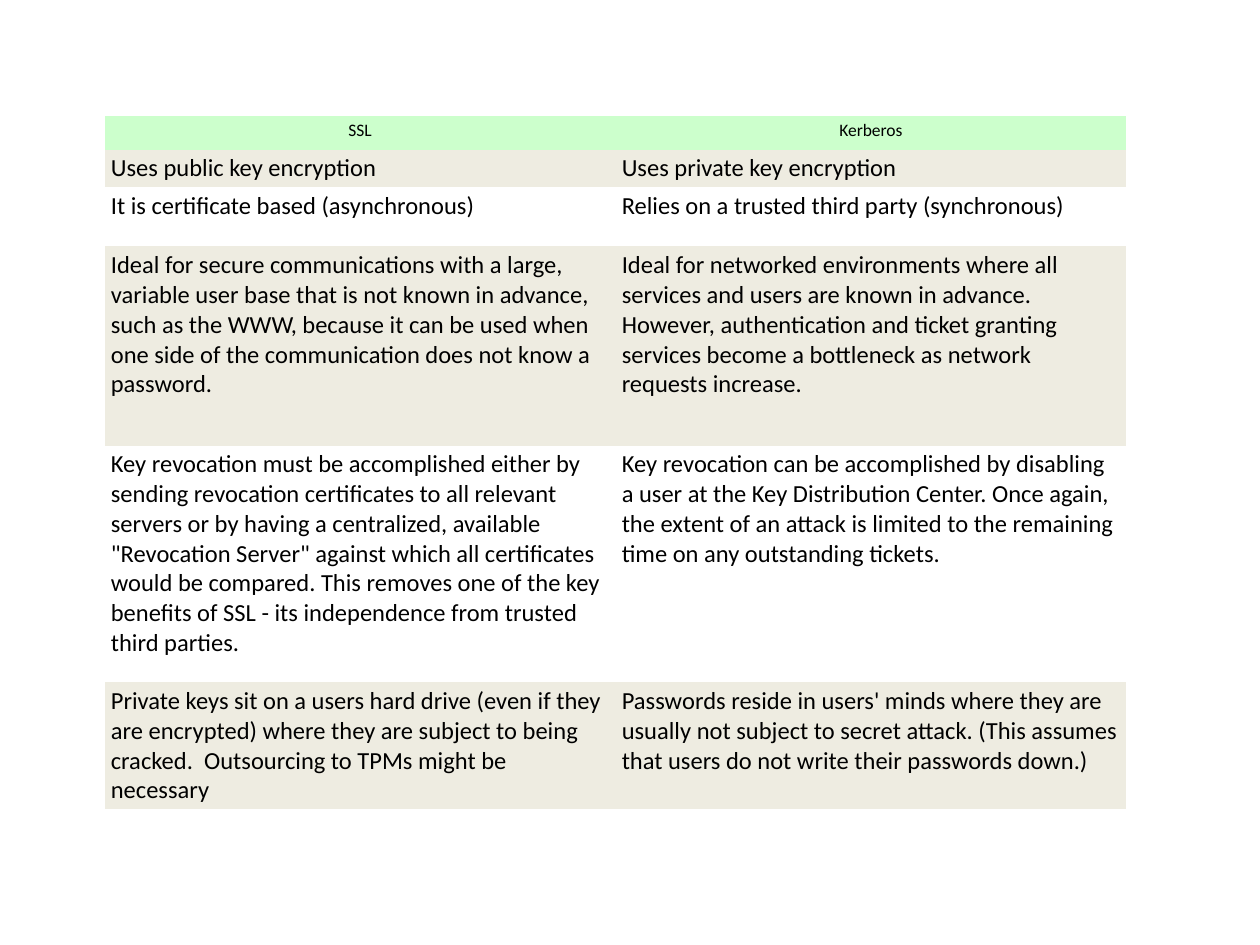
from pptx import Presentation
from pptx.dml.color import RGBColor
from pptx.enum.text import PP_ALIGN
from pptx.util import Inches, Pt

CENTER = PP_ALIGN.CENTER
LEFT = PP_ALIGN.LEFT
BLACK = RGBColor(0x00, 0x00, 0x00)
GREEN = RGBColor(0xCC, 0xFF, 0xCC)
BEIGE = RGBColor(0xEE, 0xEC, 0xE1)
PLAIN = "{2D5ABB26-0587-4C30-8999-92F81FD0307C}"

ROWS = [
    (0.27, "SSL", "Kerberos"),
    (0.27, "Uses public key encryption", "Uses private key encryption"),
    (0.47, "It is certificate based (asynchronous)",
     "Relies on a trusted third party (synchronous)"),
    (1.58, "Ideal for secure communications with a large, variable user base "
     "that is not known in advance, such as the WWW, because it can be used "
     "when one side of the communication does not know a password.",
     "Ideal for networked environments where all services and users are known "
     "in advance. However, authentication and ticket granting services become "
     "a bottleneck as network requests increase."),
    (1.88, "Key revocation must be accomplished either by sending revocation "
     "certificates to all relevant servers or by having a centralized, "
     "available \"Revocation Server\" against which all certificates would be "
     "compared. This removes one of the key benefits of SSL - its "
     "independence from trusted third parties.",
     "Key revocation can be accomplished by disabling a user at the Key "
     "Distribution Center. Once again, the extent of an attack is limited to "
     "the remaining time on any outstanding tickets."),
    (0.87, "Private keys sit on a users hard drive (even if they are encrypted) "
     "where they are subject to being cracked.\u00a0 Outsourcing to TPMs might "
     "be necessary",
     "Passwords reside in users' minds where they are usually not subject to "
     "secret attack. (This assumes that users do not write their passwords "
     "down.)"),
]

deck = Presentation()
deck.slide_width = Inches(10)
deck.slide_height = Inches(7.5)
slide = deck.slides.add_slide(deck.slide_layouts[6])

height = sum(row[0] for row in ROWS)
frame = slide.shapes.add_table(len(ROWS), 2, Inches(0.83), Inches(0.92),
                               Inches(8.11), Inches(height))
table = frame.table
table.first_row = False
table.horz_banding = False
table._tbl.tblPr[0].text = PLAIN

for r, (tall, *texts) in enumerate(ROWS):
    table.rows[r].height = Inches(tall)
    for c, text in enumerate(texts):
        cell = table.cell(r, c)
        cell.margin_left = cell.margin_right = Inches(0.05)
        cell.margin_top = cell.margin_bottom = Inches(0.03)
        if r == 0 or r % 2:
            cell.fill.solid()
            cell.fill.fore_color.rgb = BEIGE if r else GREEN
        else:
            cell.fill.background()
        cell.text_frame.text = text
        para = cell.text_frame.paragraphs[0]
        para.alignment = LEFT if r else CENTER
        font = para.runs[0].font
        font.name = "Calibri"
        font.size = Pt(14 if r else 10)
        font.color.rgb = BLACK

deck.save("out.pptx")
